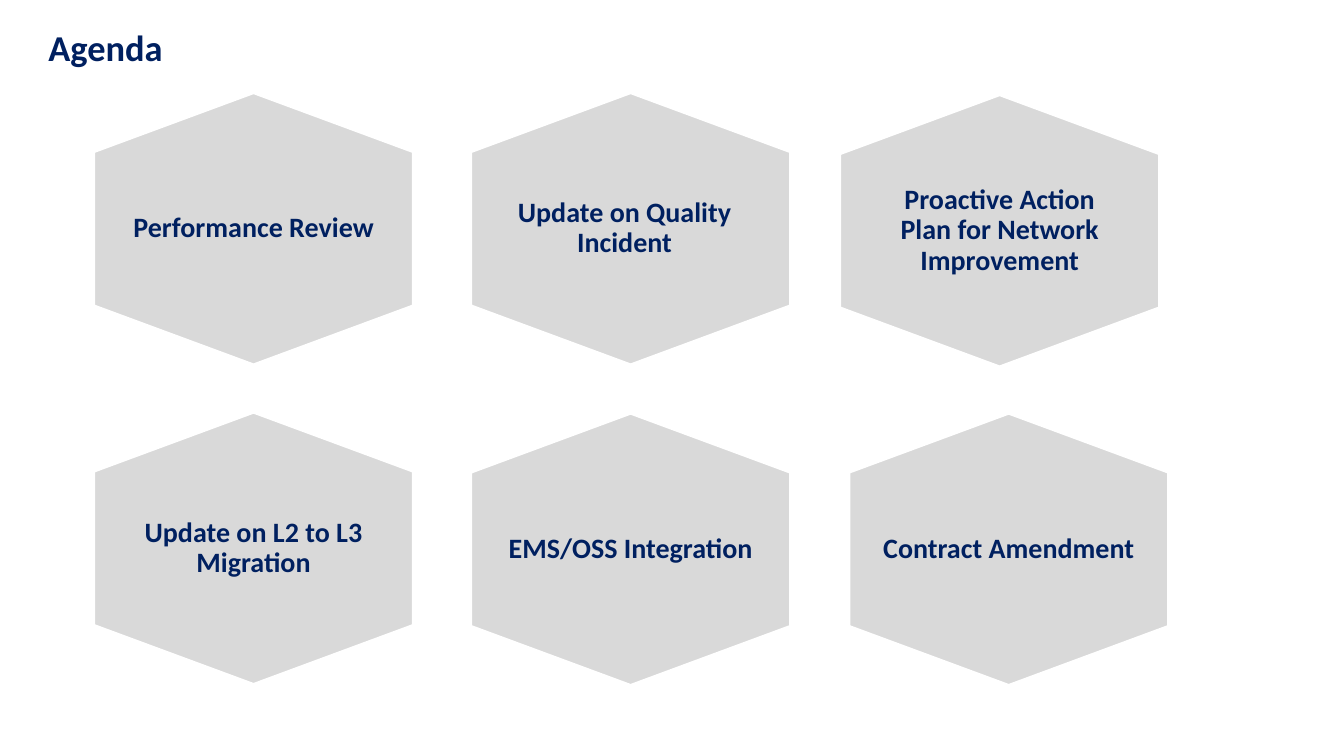
import pptx
import pptx.dml.color
import pptx.enum.text
import pptx.util

NAVY = pptx.dml.color.RGBColor(0x00, 0x20, 0x60)
GREY = pptx.dml.color.RGBColor(0xD9, 0xD9, 0xD9)
WHITE = pptx.dml.color.RGBColor(0xFF, 0xFF, 0xFF)
FONT = "Calibri"
Inches, Pt = pptx.util.Inches, pptx.util.Pt
ALIGN = pptx.enum.text.PP_ALIGN
ANCHOR = pptx.enum.text.MSO_ANCHOR

HEX_WIDTH, HEX_HEIGHT = 3.17, 2.7
SHOULDER = 0.217  # share of the height above and below the upright sides

# topic, left, top, left inset, right inset
TOPICS = [
    ("Performance Review", 0.93, 0.92, 0.36, 0.36),
    ("Update on Quality Incident", 4.67, 0.92, 0.36, 0.48),
    ("Proactive Action Plan for Network Improvement", 8.33, 0.94, 0.36, 0.36),
    ("Update on L2 to L3 Migration", 0.93, 4.09, 0.36, 0.36),
    ("EMS/OSS Integration", 4.67, 4.1, 0.3, 0.3),
    ("Contract Amendment", 8.42, 4.1, 0.3, 0.3),
]


def style_text(paragraph, size, alignment):
    paragraph.alignment = alignment
    for run in paragraph.runs:
        run.font.name = FONT
        run.font.size = Pt(size)
        run.font.bold = True
        run.font.color.rgb = NAVY


def add_heading(slide, text, left, top, width, height):
    heading = slide.shapes.title
    heading.left, heading.top = Inches(left), Inches(top)
    heading.width, heading.height = Inches(width), Inches(height)
    frame = heading.text_frame
    frame.text = text
    frame.word_wrap = False
    frame.auto_size = pptx.enum.text.MSO_AUTO_SIZE.NONE
    frame.vertical_anchor = ANCHOR.TOP
    style_text(frame.paragraphs[0], 26, ALIGN.LEFT)


def add_topic(slide, topic, left, top, inset_left, inset_right):
    """Draw a pointed-top hexagon with the topic centred in it."""
    corners = [(0.5, 0), (1, SHOULDER), (1, 1 - SHOULDER),
               (0.5, 1), (0, 1 - SHOULDER), (0, SHOULDER)]
    points = [(Inches(left + x * HEX_WIDTH), Inches(top + y * HEX_HEIGHT))
              for x, y in corners]
    outline = slide.shapes.build_freeform(*points[0])
    outline.add_line_segments(points[1:], close=True)
    hexagon = outline.convert_to_shape()
    hexagon.shadow.inherit = False
    hexagon.fill.solid()
    hexagon.fill.fore_color.rgb = GREY
    hexagon.line.color.rgb = WHITE
    hexagon.line.width = Pt(2)

    frame = hexagon.text_frame
    frame.text = topic
    frame.word_wrap = True
    frame.vertical_anchor = ANCHOR.MIDDLE
    frame.margin_left, frame.margin_right = Inches(inset_left), Inches(inset_right)
    frame.margin_top = frame.margin_bottom = Inches(0.36)
    frame.paragraphs[0].line_spacing = 0.9
    style_text(frame.paragraphs[0], 20, ALIGN.CENTER)


def main():
    deck = pptx.Presentation()
    deck.slide_width, deck.slide_height = Inches(13.33), Inches(7.5)
    title_only = deck.slide_layouts[5]
    agenda = deck.slides.add_slide(title_only)
    add_heading(agenda, "Agenda", 0.38, 0.2, 1.35, 0.54)
    for topic in TOPICS:
        add_topic(agenda, *topic)
    deck.save("out.pptx")


if __name__ == "__main__":
    main()
